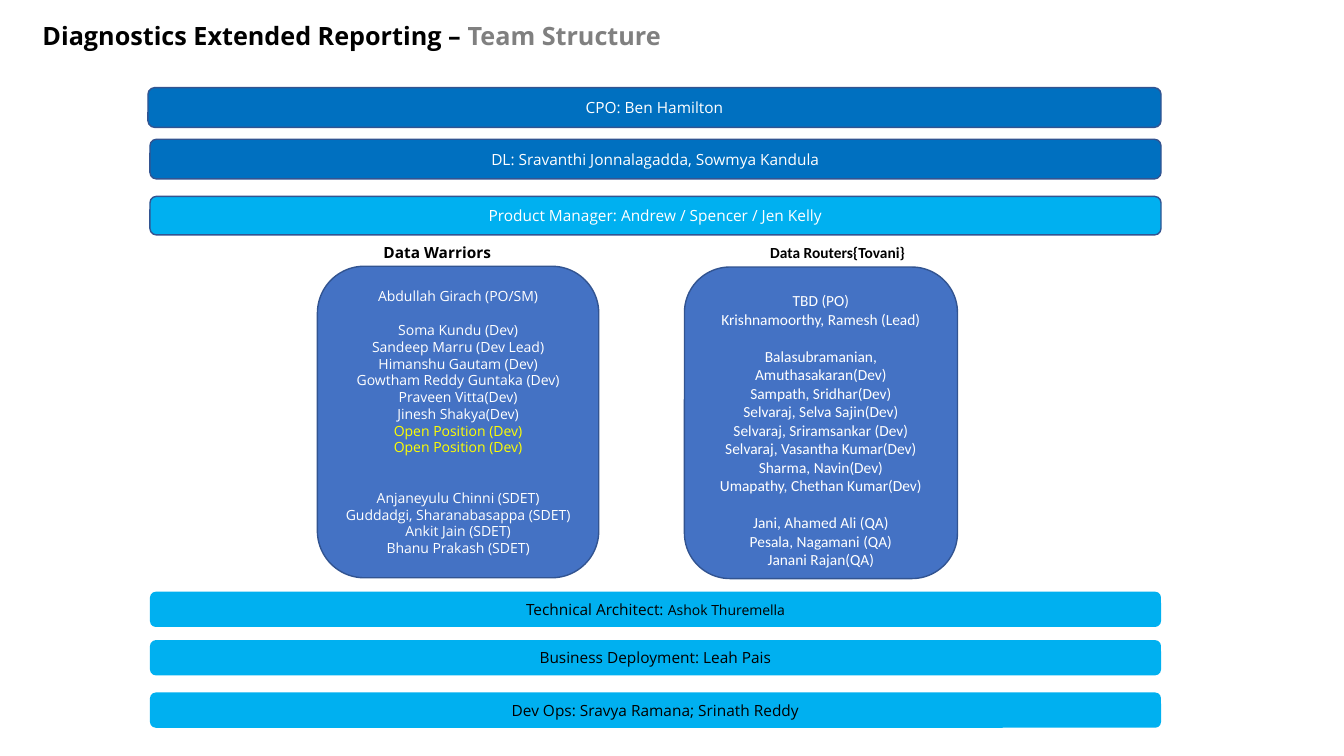
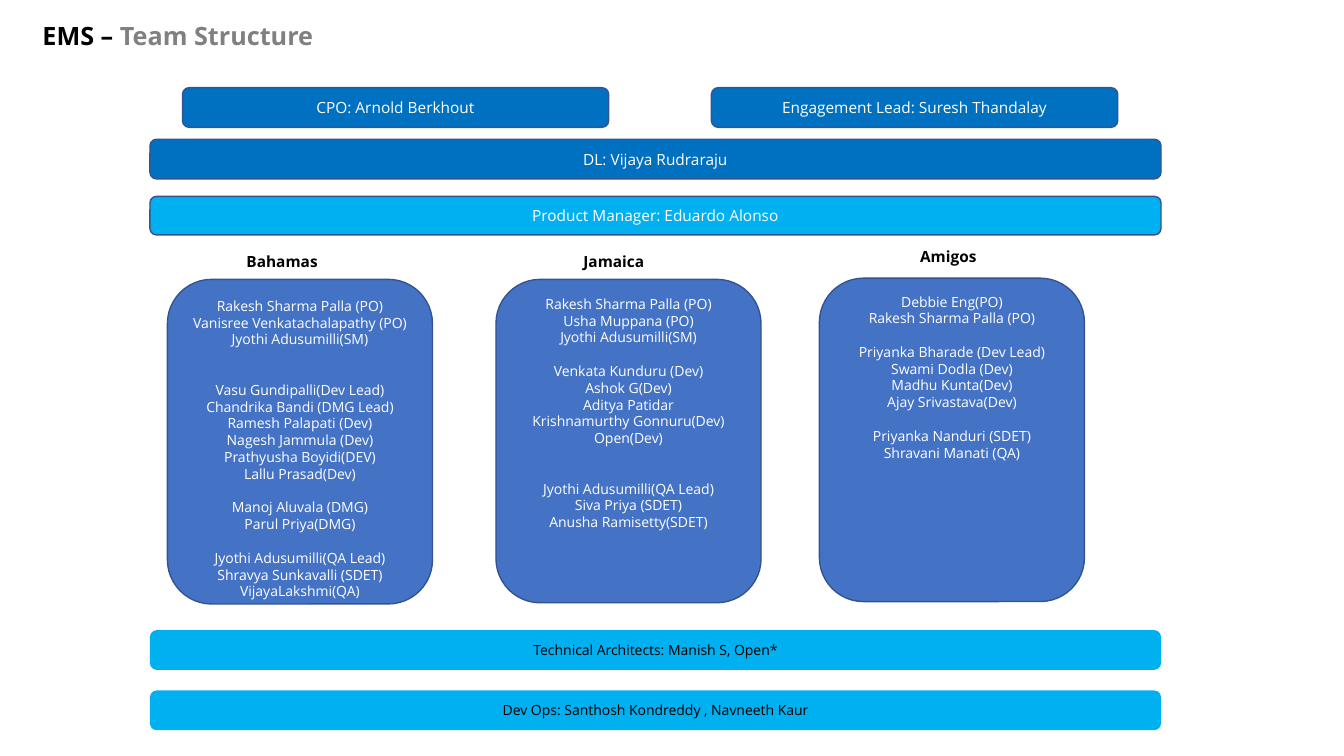
import pptx
import pptx.util
import pptx.dml.color
import pptx.enum.shapes
import pptx.enum.text

Cm, Pt = pptx.util.Cm, pptx.util.Pt
RGBColor = pptx.dml.color.RGBColor
Align = pptx.enum.text.PP_ALIGN
Anchor = pptx.enum.text.MSO_ANCHOR

BLACK = RGBColor(0x00, 0x00, 0x00)
WHITE = RGBColor(0xFF, 0xFF, 0xFF)
GREY = RGBColor(0x80, 0x80, 0x80)
YELLOW = RGBColor(0xFF, 0xFF, 0x00)
DARK_BLUE = RGBColor(0x00, 0x70, 0xC0)
LIGHT_BLUE = RGBColor(0x00, 0xB0, 0xF0)
TEAM_BLUE = RGBColor(0x44, 0x72, 0xC4)
OUTLINE = RGBColor(0x32, 0x54, 0x91)

BODY_FONT = "Open Sans"
BAR_LEFT, BAR_WIDTH = 3.78, 25.48
HEADING_WIDTH, HEADING_HEIGHT = 3.96, 0.48

# Row of bars: top, height, fill, outline, text colour
LEAD_ROW = (2.21, 1, DARK_BLUE, OUTLINE, WHITE)
DELIVERY_ROW = (3.51, 1, DARK_BLUE, OUTLINE, WHITE)
PRODUCT_ROW = (4.95, 0.97, LIGHT_BLUE, OUTLINE, WHITE)


def support_row(top, height):
    return top, height, LIGHT_BLUE, None, BLACK


# Bars: row, left, width, size, runs of (text, format)
# Team groups: blank lines before the group, names
SLIDES = [
    {
        "title": "Diagnostics Extended Reporting – ",
        "bars": [
            (LEAD_ROW, 3.73, 25.53, 11, [("CPO: Ben Hamilton", {})]),
            (DELIVERY_ROW, BAR_LEFT, BAR_WIDTH, 11,
             [("DL: Sravanthi Jonnalagadda, Sowmya Kandula", {})]),
            (PRODUCT_ROW, BAR_LEFT, BAR_WIDTH, 11,
             [("Product Manager: Andrew / Spencer / Jen Kelly", {})]),
            (support_row(14.91, 0.89), BAR_LEFT, BAR_WIDTH, 11,
             [("Technical Architect: ", {}), ("Ashok Thuremella", {"size": 10})]),
            (support_row(16.13, 0.89), BAR_LEFT, BAR_WIDTH, 11,
             [("Business Deployment: Leah Pais", {})]),
            (support_row(17.45, 0.89), BAR_LEFT, BAR_WIDTH, 11,
             [("Dev Ops: Sravya Ramana; Srinath Reddy", {})]),
        ],
        "teams": [
            {"name": "Data Warriors", "heading": (9.04, 6.12),
             "box": (8, 6.71, 7.09, 7.85), "inset": 0.2,
             "groups": [
                 (0, ["Abdullah Girach (PO/SM)"]),
                 (1, ["Soma Kundu (Dev)", "Sandeep Marru (Dev Lead)",
                      "Himanshu Gautam (Dev)", "Gowtham Reddy Guntaka (Dev)",
                      "Praveen Vitta(Dev)", "Jinesh Shakya(Dev)",
                      "Open Position (Dev)", "Open Position (Dev)"]),
                 (2, ["Anjaneyulu Chinni (SDET)", "Guddadgi, Sharanabasappa (SDET)",
                      "Ankit Jain (SDET)", "Bhanu Prakash (SDET)"]),
             ]},
            {"name": "Data Routers{Tovani}", "heading": (19.13, 6.12),
             "box": (17.25, 6.73, 6.88, 7.85), "inset": 0.28,
             "font": "Calibri", "size": 11,
             "groups": [
                 (0, ["TBD (PO)", "Krishnamoorthy, Ramesh (Lead)"]),
                 (1, ["Balasubramanian, Amuthasakaran(Dev)", "Sampath, Sridhar(Dev)",
                      "Selvaraj, Selva Sajin(Dev)", "Selvaraj, Sriramsankar (Dev)",
                      "Selvaraj, Vasantha Kumar(Dev)", "Sharma, Navin(Dev)",
                      "Umapathy, Chethan Kumar(Dev)"]),
                 (1, ["Jani, Ahamed Ali (QA)", "Pesala, Nagamani (QA)",
                      "Janani Rajan(QA)"]),
             ]},
        ],
    },
    {
        "title": "EMS – ",
        "bars": [
            (LEAD_ROW, 4.6, 10.74, 11, [("CPO: Arnold Berkhout", {})]),
            (LEAD_ROW, 17.93, 10.24, 11, [("Engagement Lead: Suresh Thandalay", {})]),
            (DELIVERY_ROW, BAR_LEFT, BAR_WIDTH, 11, [("DL: Vijaya Rudraraju", {})]),
            (PRODUCT_ROW, BAR_LEFT, BAR_WIDTH, 11,
             [("Product Manager: Eduardo Alonso", {})]),
            (support_row(15.88, 1), BAR_LEFT, BAR_WIDTH, 10,
             [("Technical Architects: Manish S, Open*", {})]),
            (support_row(17.4, 1), BAR_LEFT, BAR_WIDTH, 10,
             [("Dev Ops: Santhosh Kondreddy , Navneeth Kaur", {})]),
        ],
        "teams": [
            {"name": "Bahamas", "heading": (5.13, 6.35),
             "box": (4.22, 7.04, 6.68, 8.18), "inset": 0.13,
             "groups": [
                 (0, ["Rakesh Sharma Palla (PO)", "Vanisree Venkatachalapathy (PO)",
                      "Jyothi Adusumilli(SM)"]),
                 (2, ["Vasu Gundipalli(Dev Lead)", "Chandrika Bandi (DMG Lead)",
                      "Ramesh Palapati (Dev)", "Nagesh Jammula (Dev)",
                      "Prathyusha Boyidi(DEV)", "Lallu Prasad(Dev)"]),
                 (1, ["Manoj Aluvala (DMG)", "Parul Priya(DMG)"]),
                 (1, ["Jyothi Adusumilli(QA Lead)", "Shravya Sunkavalli (SDET)",
                      "VijayaLakshmi(QA)"]),
             ]},
            {"name": "Jamaica", "heading": (13.49, 6.35),
             "box": (12.5, 7.04, 6.68, 8.15), "inset": 0.08,
             "groups": [
                 (0, ["Rakesh Sharma Palla (PO)", "Usha Muppana (PO)",
                      "Jyothi Adusumilli(SM)"]),
                 (1, ["Venkata Kunduru (Dev)", "Ashok G(Dev)", "Aditya Patidar",
                      "Krishnamurthy Gonnuru(Dev)", "Open(Dev)"]),
                 (2, ["Jyothi Adusumilli(QA Lead)", "Siva Priya (SDET)",
                      "Anusha Ramisetty(SDET)"]),
             ]},
            {"name": "Amigos", "heading": (21.92, 6.22),
             "box": (20.65, 7.01, 6.68, 8.15), "inset": 0.05,
             "groups": [
                 (0, ["Debbie Eng(PO)", "Rakesh Sharma Palla (PO)"]),
                 (1, ["Priyanka Bharade (Dev Lead)", "Swami Dodla (Dev)",
                      "Madhu Kunta(Dev)", "Ajay Srivastava(Dev)"]),
                 (1, ["Priyanka Nanduri (SDET)", "Shravani Manati (QA)"]),
             ]},
        ],
    },
]


def add_run(paragraph, text, size=10, font=BODY_FONT, color=WHITE, bold=False):
    run = paragraph.add_run()
    run.text = text
    run.font.size = Pt(size)
    run.font.name = font
    run.font.color.rgb = color
    run.font.bold = bold


def set_frame(shape, anchor, left=0, top=0, right=0, bottom=0):
    """Wrap the text of a shape, set its anchor and its insets in cm."""
    frame = shape.text_frame
    frame.word_wrap = True
    frame.auto_size = pptx.enum.text.MSO_AUTO_SIZE.NONE
    frame.vertical_anchor = anchor
    frame.margin_left, frame.margin_top = Cm(left), Cm(top)
    frame.margin_right, frame.margin_bottom = Cm(right), Cm(bottom)
    return frame


def add_rounded(slide, box, fill, outline):
    shape = slide.shapes.add_shape(
        pptx.enum.shapes.MSO_SHAPE.ROUNDED_RECTANGLE, *map(Cm, box))
    shape.shadow.inherit = False
    shape.fill.solid()
    shape.fill.fore_color.rgb = fill
    if outline is None:
        shape.line.fill.background()
    else:
        shape.line.color.rgb = outline
        shape.line.width = Pt(1)
    return shape


def add_title(slide, text):
    title = slide.shapes.title
    title.left, title.top = Cm(1.07), Cm(0.48)
    title.width, title.height = Cm(31.27), Cm(0.94)
    paragraph = set_frame(title, Anchor.MIDDLE).paragraphs[0]
    paragraph.alignment = Align.LEFT
    paragraph.line_spacing = 0.9
    for part, color in ((text, BLACK), ("Team Structure", GREY)):
        add_run(paragraph, part, size=18, color=color, bold=True)


def add_bar(slide, row, left, width, size, runs):
    top, height, fill, outline, color = row
    bar = add_rounded(slide, (left, top, width, height), fill, outline)
    paragraph = set_frame(bar, Anchor.MIDDLE, 0.13, 0.13, 0.13, 0.13).paragraphs[0]
    paragraph.alignment = Align.CENTER
    for text, text_format in runs:
        add_run(paragraph, text, **{"size": size, "color": color, **text_format})


def add_team(slide, team):
    font, size = team.get("font", BODY_FONT), team.get("size", 10)
    heading = slide.shapes.add_textbox(
        *map(Cm, (*team["heading"], HEADING_WIDTH, HEADING_HEIGHT)))
    paragraph = set_frame(heading, Anchor.TOP).paragraphs[0]
    paragraph.alignment = Align.CENTER
    add_run(paragraph, team["name"], size=11, font=font, color=BLACK, bold=True)

    roster = add_rounded(slide, team["box"], TEAM_BLUE, OUTLINE)
    frame = set_frame(roster, Anchor.TOP, left=0.25, top=team["inset"], right=0.25)
    line_height = 1.2 * size
    paragraph = None
    for blank_lines, names in team["groups"]:
        for index, name in enumerate(names):
            paragraph = frame.add_paragraph() if paragraph else frame.paragraphs[0]
            paragraph.alignment = Align.CENTER
            paragraph.line_spacing = Pt(line_height)
            if blank_lines and index == 0:
                paragraph.space_before = Pt(blank_lines * line_height)
            color = YELLOW if name.startswith("Open Position") else WHITE
            add_run(paragraph, name, size=size, font=font, color=color)


def main():
    presentation = pptx.Presentation()
    presentation.slide_width, presentation.slide_height = Cm(33.87), Cm(19.05)
    title_only = presentation.slide_layouts[5]
    for content in SLIDES:
        slide = presentation.slides.add_slide(title_only)
        add_title(slide, content["title"])
        for bar in content["bars"]:
            add_bar(slide, *bar)
        for team in content["teams"]:
            add_team(slide, team)
    presentation.save("out.pptx")


if __name__ == "__main__":
    main()
